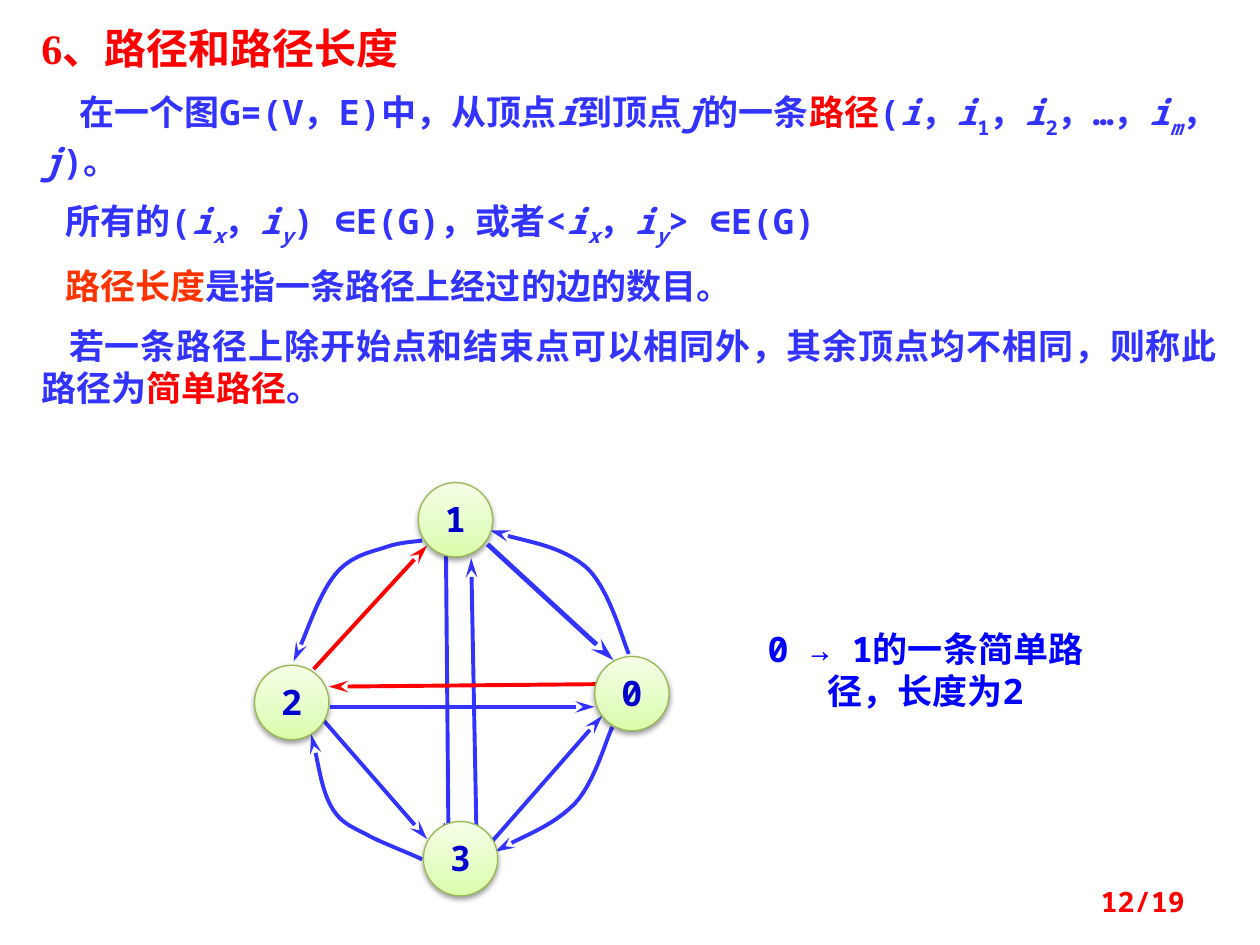
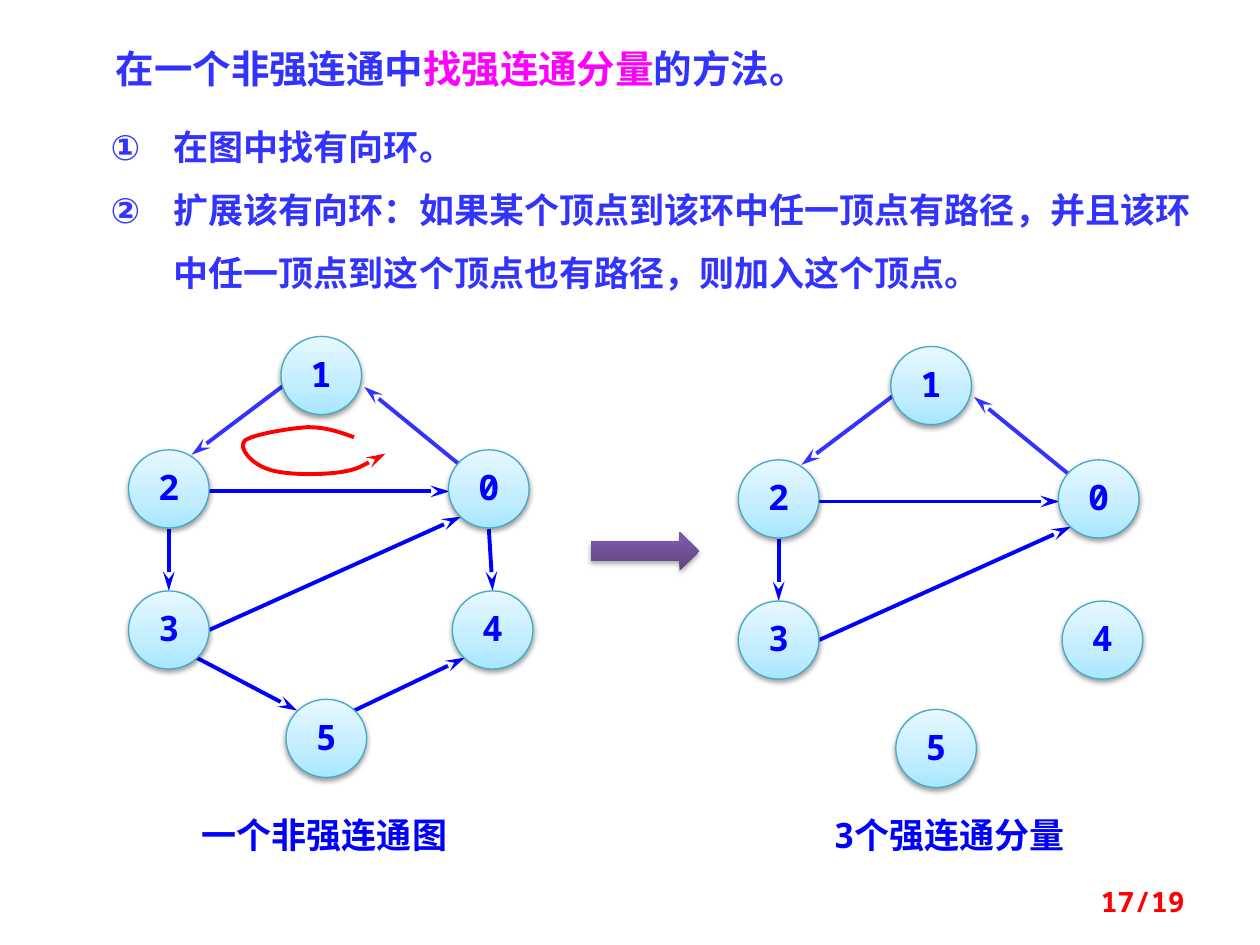
from dataclasses import dataclass

from lxml import etree
from pptx import Presentation
from pptx import util as u
from pptx.dml.color import RGBColor
from pptx.enum import shapes, text
from pptx.oxml.ns import qn


@dataclass(frozen=True)
class Theme:
    body_font: str = "Noto Sans Mono"
    title_font: str = "Times New Roman"
    heading_size: int = 24
    method_size: int = 22
    body_size: int = 20
    page_size: int = 16
    paragraph_gap: int = 10
    line_width: float = 2.25
    blue: str = "3333FF"
    deep_blue: str = "0000FF"
    navy: str = "0000CC"
    red: str = "FF0000"
    orange: str = "FF3300"
    magenta: str = "FF00FF"
    arrow_stops: tuple = ((0, "5F4480"), (80, "7B58A6"), (100, "7C57A8"))


@dataclass(frozen=True)
class NodeStyle:
    width: float
    height: float
    stops: tuple
    outline: str
    color: str


THEME = Theme()
GREEN_NODE = NodeStyle(0.59, 0.59, ((0, "DAFDA7"), (35, "E4FCC2"), (100, "F5FFE7")),
                       "98B955", THEME.navy)
CYAN_NODE = NodeStyle(0.64, 0.62, ((0, "A7E6FF"), (35, "C1EDFF"), (100, "E7F8FF")),
                      "46AAC5", THEME.deep_blue)


# Text
def add_run(paragraph, words, size=THEME.body_size, color=THEME.blue,
            font=THEME.body_font, italic=False, baseline=0):
    run = paragraph.add_run()
    run.text = words
    run.font.size = u.Pt(size)
    run.font.bold = True
    run.font.italic = italic
    run.font.color.rgb = RGBColor.from_string(color)
    run.font.name = font
    properties = run.font._element
    if baseline:
        properties.set("baseline", str(baseline * 1000))
    etree.SubElement(properties, qn("a:ea")).set("typeface", THEME.body_font)


def add_text(slide, box, paragraphs, align=text.PP_ALIGN.LEFT,
             anchor=text.MSO_ANCHOR.TOP):
    """Each paragraph is a list of (words, run options)."""
    frame = slide.shapes.add_textbox(*map(u.Inches, box)).text_frame
    frame.word_wrap = True
    frame.vertical_anchor = anchor
    for index, runs in enumerate(paragraphs):
        paragraph = frame.add_paragraph() if index else frame.paragraphs[0]
        paragraph.alignment = align
        for words, options in runs:
            add_run(paragraph, words, **options)
    return frame


def add_label(slide, box, words):
    add_text(slide, box, [[(words, {"color": THEME.deep_blue})]],
             text.PP_ALIGN.CENTER)


def add_page_number(slide, number):
    style = {"size": THEME.page_size, "color": THEME.red}
    add_text(slide, (7.17, 6.95, 2.33, 0.4), [[(f"{number}/19", style)]],
             text.PP_ALIGN.RIGHT, text.MSO_ANCHOR.MIDDLE)


def set_indent(paragraph, first_line, left=0):
    properties = paragraph._p.get_or_add_pPr()
    properties.set("marL", str(u.Inches(left)))
    properties.set("indent", str(u.Inches(first_line)))
    return properties


# Shape finish
def add_color(parent, color):
    element = etree.SubElement(parent, qn("a:srgbClr"))
    element.set("val", color)
    return element


def shade(shape, stops, shadow_alpha):
    """Upward gradient and a soft shadow below."""
    shape.fill.gradient()
    shape.fill.gradient_angle = 90
    properties = shape._element.spPr
    stop_list = properties.find(".//" + qn("a:gsLst"))
    for stop in list(stop_list):
        stop_list.remove(stop)
    for position, color in stops:
        stop = etree.SubElement(stop_list, qn("a:gs"))
        stop.set("pos", str(position * 1000))
        add_color(stop, color)
    shape.shadow.inherit = False
    shadow = etree.SubElement(properties.find(qn("a:effectLst")), qn("a:outerShdw"))
    for key, value in (("blurRad", u.Pt(3.1)), ("dist", u.Pt(1.6)),
                       ("dir", 90 * 60000), ("rotWithShape", 0)):
        shadow.set(key, str(value))
    alpha = etree.SubElement(add_color(shadow, "000000"), qn("a:alpha"))
    alpha.set("val", str(shadow_alpha * 1000))


def style_edge(edge, color, width, head):
    edge.line.color.rgb = RGBColor.from_string(color)
    edge.line.width = u.Pt(width)
    tail = etree.SubElement(edge.line._get_or_add_ln(), qn("a:tailEnd"))
    for key, value in (("type", head), ("w", "med"), ("len", "lg")):
        tail.set(key, value)


# Graph parts
def add_edge(slide, origin, start, end, color, width=THEME.line_width, head="stealth"):
    ends = [u.Inches(base + offset) for point in (start, end)
            for base, offset in zip(origin, point)]
    edge = slide.shapes.add_connector(shapes.MSO_CONNECTOR.STRAIGHT, *ends)
    style_edge(edge, color, width, head)
    etree.SubElement(edge._element.spPr, qn("a:effectLst"))


def add_curve(slide, origin, points, color):
    """Bezier curve: a start, then two controls and an anchor per section."""
    placed = [(u.Inches(origin[0] + x), u.Inches(origin[1] + y)) for x, y in points]
    builder = slide.shapes.build_freeform(*placed[0])
    builder.add_line_segments(placed[1:], close=False)
    curve = builder.convert_to_shape()
    segments = list(curve._element.iter(qn("a:lnTo")))
    for index in range(0, len(segments), 3):
        section = etree.Element(qn("a:cubicBezTo"))
        segments[index].addprevious(section)
        for segment in segments[index:index + 3]:
            section.append(segment[0])
            segment.getparent().remove(segment)
    curve.fill.background()
    curve.shadow.inherit = False
    style_edge(curve, color, THEME.line_width, "stealth")


def add_node(slide, origin, name, place, style):
    node = slide.shapes.add_shape(
        shapes.MSO_SHAPE.OVAL, u.Inches(origin[0] + place[0]),
        u.Inches(origin[1] + place[1]), u.Inches(style.width), u.Inches(style.height))
    shade(node, style.stops, 38)
    node.line.color.rgb = RGBColor.from_string(style.outline)
    node.line.width = u.Pt(0.75)
    frame = node.text_frame
    frame.margin_left = frame.margin_right = frame.margin_bottom = 0
    frame.margin_top = u.Inches(0.12)
    frame.vertical_anchor = text.MSO_ANCHOR.TOP
    paragraph = frame.paragraphs[0]
    paragraph.alignment = text.PP_ALIGN.CENTER
    paragraph.line_spacing = 0.72
    add_run(paragraph, name, color=style.color)


def add_graph(slide, origin, nodes, edges, style, curves=()):
    for edge in edges:
        add_edge(slide, origin, *edge)
    for color, points in curves:
        add_curve(slide, origin, points, color)
    for name, place in nodes.items():
        add_node(slide, origin, name, place, style)


# Path slide
ITALIC = {"italic": True}
RED = {"color": THEME.red}


def indexed(index, drop=-30, italic=False):
    return [("i", ITALIC), (index, {"baseline": drop, "italic": italic})]


def pair():
    return [*indexed("x", -25, True), ("，", {}), *indexed("y", -25, True)]


def add_definitions(slide, box):
    heading = {"size": THEME.heading_size, "color": THEME.red, "font": THEME.title_font}
    paragraphs = [
        [("6、路径和路径长度", heading)],
        [("在一个图G=(V，E)中，从顶点", {}), ("i", ITALIC), ("到顶点", {}),
         ("j", ITALIC), ("的一条", {}), ("路径", RED), ("(", {}), ("i", ITALIC),
         ("，", {}), *indexed("1"), ("，", {}), *indexed("2"), ("，…，", {}),
         *indexed("m", italic=True), ("，", {}), ("j", ITALIC), (")。", {})],
        [("所有的(", {}), *pair(), (") ∈E(G)，或者<", {}), *pair(), ("> ∈E(G)", {})],
        [("路径长度", {"color": THEME.orange}),
         ("是指一条路径上经过的边的数目。", {})],
        [("若一条路径上除开始点和结束点可以相同外，其余顶点均不相同，则称此路径为", {}),
         ("简单路径", RED), ("。", {})],
    ]
    frame = add_text(slide, box, paragraphs, text.PP_ALIGN.JUSTIFY)
    for paragraph, indent in zip(frame.paragraphs[1:], (0.3, 0.19, 0.19, 0.22)):
        set_indent(paragraph, indent)
        paragraph.space_before = u.Pt(THEME.paragraph_gap)


def add_path_graph(slide, origin):
    nodes = {"1": (1.3, 0), "0": (2.7, 1.38), "2": (0, 1.45), "3": (1.34, 2.69)}
    blue, red = THEME.blue, THEME.red
    edges = [
        ((1.52, 0.58), (1.54, 2.87), blue, THEME.line_width, "arrow"),
        ((1.77, 3.22), (1.72, 0.6), blue),
        ((0.6, 1.78), (2.7, 1.78), blue),
        ((0.35, 1.66), (1.37, 2.83), blue),
        ((1.77, 2.98), (2.76, 1.85), blue),
        ((2.71, 1.6), (0.59, 1.62), red),
        ((0.47, 1.48), (1.37, 0.5), red),
        ((1.85, 0.49), (2.85, 1.41), blue, 2.75),
    ]
    curves = [
        (blue, [(2.84, 1.94), (2.79, 2.04), (2.7, 2.38), (2.54, 2.55),
                (2.38, 2.71), (2.04, 2.85), (1.91, 2.93)]),
        (blue, [(1.33, 0.46), (1.28, 0.47), (1.17, 0.47), (1.05, 0.51),
                (0.94, 0.55), (0.77, 0.57), (0.64, 0.73),
                (0.52, 0.88), (0.38, 1.28), (0.31, 1.42)]),
        (blue, [(1.33, 2.99), (1.25, 2.95), (1.04, 2.87), (0.92, 2.81),
                (0.8, 2.74), (0.7, 2.72), (0.62, 2.59),
                (0.54, 2.46), (0.48, 2.1), (0.45, 2)]),
        (blue, [(2.97, 1.36), (2.92, 1.24), (2.81, 0.83), (2.63, 0.67),
                (2.44, 0.51), (2.03, 0.44), (1.87, 0.38)]),
    ]
    add_graph(slide, origin, nodes, edges, GREEN_NODE, curves)


def build_path_slide(slide):
    add_definitions(slide, (0.23, 0.13, 9.53, 3.2))
    add_path_graph(slide, (2.02, 3.83))
    add_label(slide, (5.94, 4.93, 2.81, 0.77), "0 → 1的一条简单路径，长度为2")
    add_page_number(slide, 12)


# Strong component slide
def add_method(slide, title_box, steps_box):
    title = {"size": THEME.method_size, "font": THEME.title_font}
    add_text(slide, title_box, [[
        ("在一个非强连通中", title),
        ("找强连通分量", {**title, "color": THEME.magenta}), ("的方法。", title)]])
    steps = ["在图中找有向环。",
             "扩展该有向环：如果某个顶点到该环中任一顶点有路径，并且该环中任一顶点到这个顶点也有路径，"
             "则加入这个顶点。"]
    frame = add_text(slide, steps_box, [[(step, {})] for step in steps])
    for paragraph in frame.paragraphs:
        properties = set_indent(paragraph, -0.5, 0.5)
        etree.SubElement(properties, qn("a:buAutoNum")).set("type", "circleNumDbPlain")
        paragraph.line_spacing = 1.5


def add_component_graph(slide, origin, whole):
    """The whole graph also has the edges between components and the ring."""
    nodes = {"1": (1.21, 0), "0": (2.54, 0.9), "2": (0, 0.9),
             "3": (0, 2.02), "4": (2.57, 2.02), "5": (1.25, 2.88)}
    blue, deep = THEME.blue, THEME.deep_blue
    edges = [
        ((1.23, 0.39), (0.5, 0.94), blue),
        ((2.63, 1.02), (1.87, 0.4), blue),
        ((0.64, 1.23), (2.55, 1.23), deep),
        ((0.32, 1.53), (0.32, 2.02), deep),
        ((0.64, 2.33), (2.64, 1.43), deep),
    ]
    between = [
        ((2.86, 1.53), (2.89, 2.02), deep),
        ((0.54, 2.55), (1.34, 2.97), deep),
        ((1.79, 2.97), (2.67, 2.55), deep),
    ]
    ring = [(1.79, 0.8), (1.68, 0.76), (1.57, 0.72), (1.42, 0.72),
            (1.27, 0.73), (0.97, 0.78), (0.92, 0.83),
            (0.87, 0.89), (0.98, 1.01), (1.1, 1.05),
            (1.22, 1.1), (1.5, 1.1), (1.66, 1.08),
            (1.81, 1.06), (1.93, 0.99), (2.04, 0.93)]
    add_graph(slide, origin, nodes, edges + between if whole else edges, CYAN_NODE,
              [(THEME.red, ring)] if whole else [])


def add_step_arrow(slide, box):
    arrow = slide.shapes.add_shape(shapes.MSO_SHAPE.RIGHT_ARROW, *map(u.Inches, box))
    shade(arrow, THEME.arrow_stops, 35)
    arrow.line.fill.background()


def build_component_slide(slide):
    add_method(slide, (0.82, 0.31, 6.99, 0.47), (0.78, 0.78, 8.91, 1.56))
    add_component_graph(slide, (1.02, 2.67), whole=True)
    add_label(slide, (1.48, 6.41, 2.19, 0.44), "一个非强连通图")
    add_step_arrow(slide, (4.69, 4.22, 0.86, 0.31))
    add_component_graph(slide, (5.86, 2.75), whole=False)
    add_label(slide, (6.4, 6.41, 2.27, 0.44), "3个强连通分量")
    add_page_number(slide, 17)


def main():
    presentation = Presentation()
    presentation.slide_width = u.Inches(10)
    presentation.slide_height = u.Inches(7.5)
    for build in (build_path_slide, build_component_slide):
        build(presentation.slides.add_slide(presentation.slide_layouts[6]))
    presentation.save("out.pptx")


if __name__ == "__main__":
    main()
